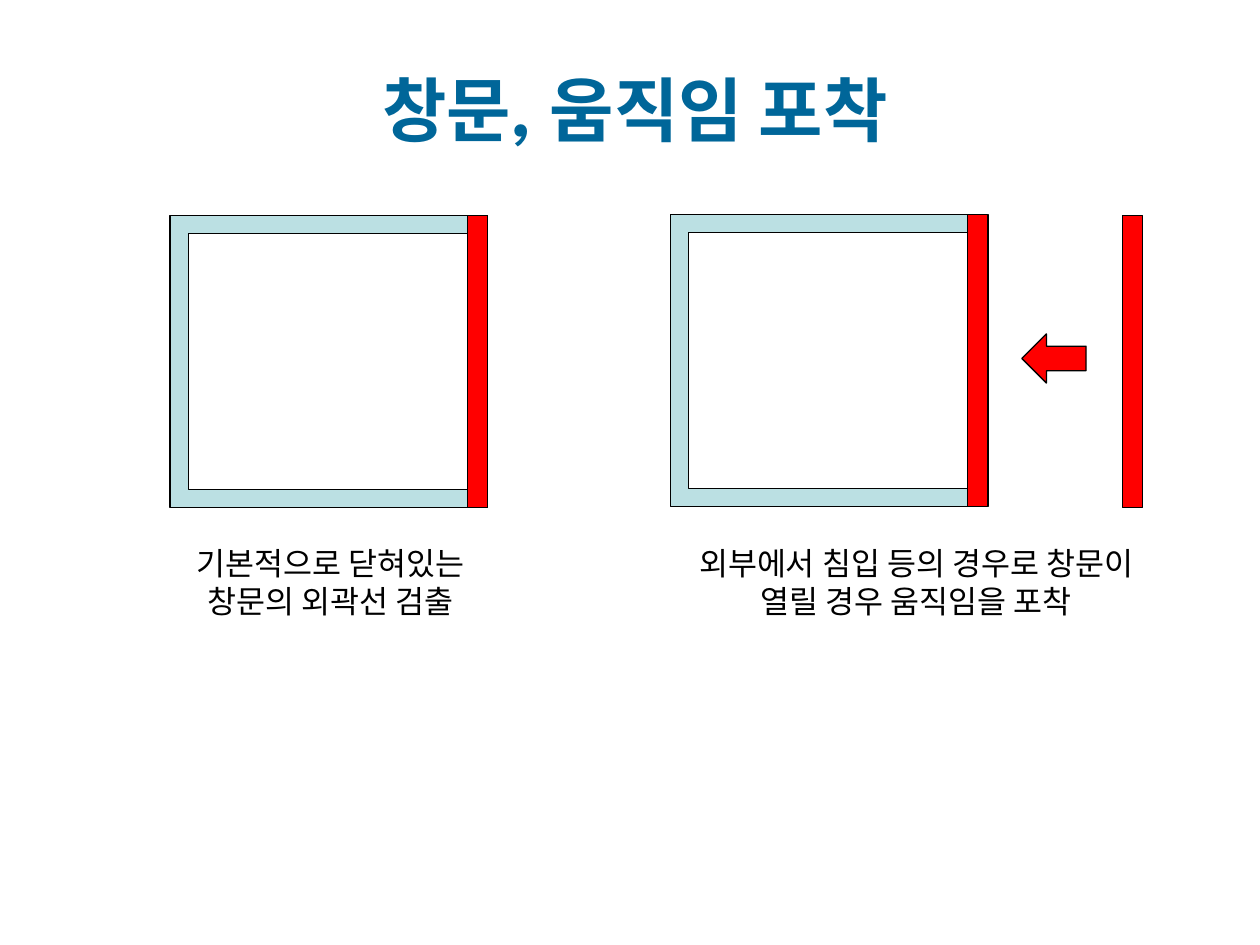
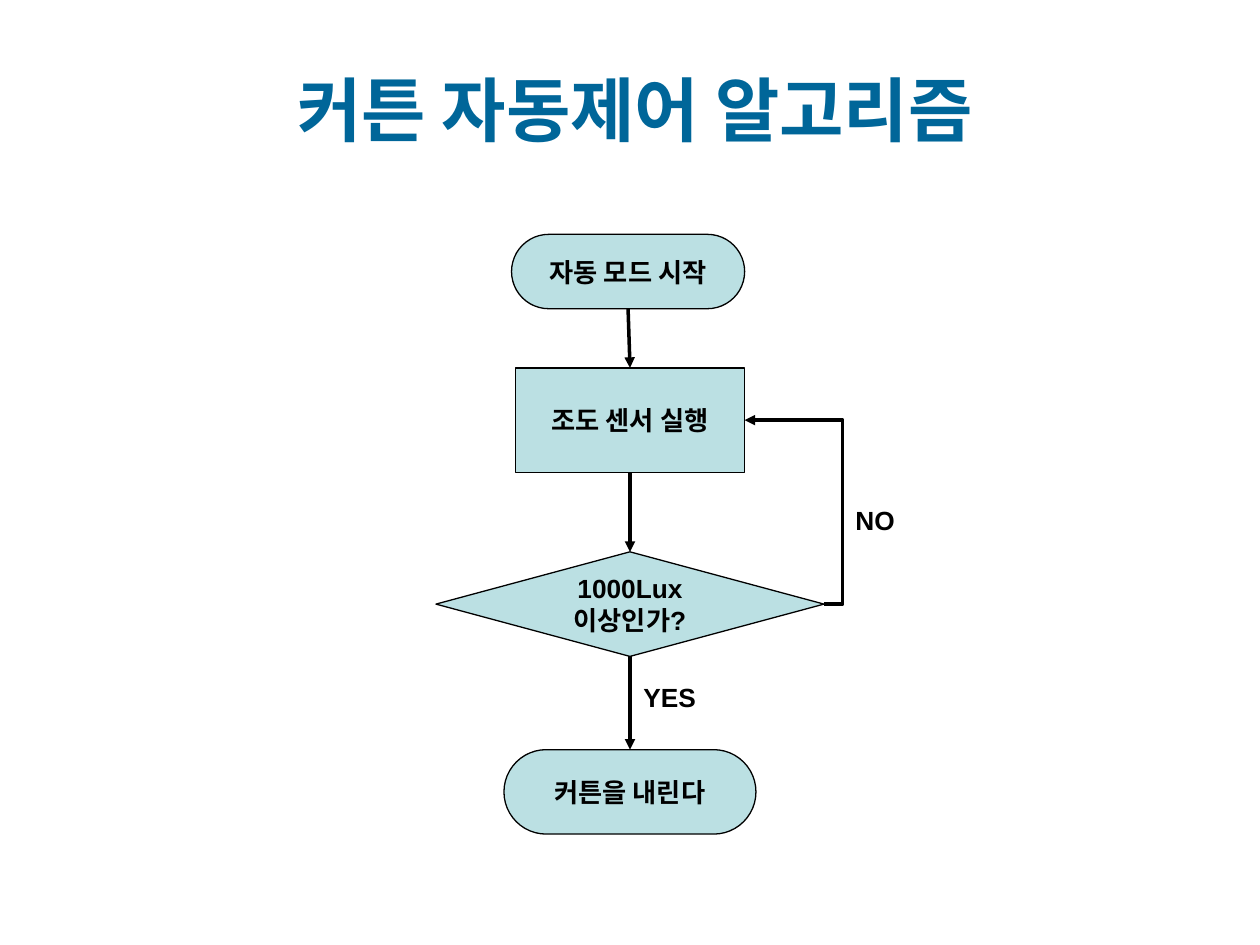
"""Build two slides on window motion capture and automatic curtain control."""
from lxml.etree import SubElement
from pptx import Presentation
from pptx.dml.color import RGBColor
from pptx.enum.shapes import MSO_CONNECTOR as LINK, MSO_SHAPE as SHAPE
from pptx.enum.text import MSO_ANCHOR as ANCHOR, PP_ALIGN as ALIGN
from pptx.oxml.ns import qn
from pptx.util import Pt

PX = 9144
COLORS = {"title": "006699", "pale": "BBE0E3", "red": "FF0000", "ink": "000000"}


def add_block(slide, kind, box, fill, adjustments=()):
    block = slide.shapes.add_shape(kind, *[n * PX for n in box])
    block.shadow.inherit = False
    block.fill.solid()
    block.fill.fore_color.rgb = RGBColor.from_string(COLORS[fill])
    block.line.color.rgb = RGBColor.from_string(COLORS["ink"])
    block.line.width = Pt(0.75)
    for index, value in enumerate(adjustments):
        block.adjustments[index] = value
    return block


def write(holder, text, size, bold=True, font="Arial", color="ink", anchor=ANCHOR.MIDDLE):
    frame = holder.text_frame
    frame.text = text
    frame.word_wrap = True
    frame.vertical_anchor = anchor
    for paragraph in frame.paragraphs:
        paragraph.alignment = ALIGN.CENTER
        for run in paragraph.runs:
            run.font.name = font
            run.font.size = Pt(size)
            run.font.bold = bold
            run.font.color.rgb = RGBColor.from_string(COLORS[color])


deck = Presentation()
deck.slide_width, deck.slide_height = 1000 * PX, 750 * PX
slides = []
for heading in ("창문, 움직임 포착", "커튼 자동제어 알고리즘"):
    slide = deck.slides.add_slide(deck.slide_layouts[6])
    title = slide.shapes.add_textbox(58 * PX, 30 * PX, 892 * PX, 112 * PX)
    write(title, heading, 40, font="League Spartan", color="title")
    slides.append(slide)
window_slide, curtain_slide = slides

for left, top in ((135, 171), (532, 170)):
    add_block(window_slide, SHAPE.FRAME, (left, top, 252, 232), "pale", [0.062])
    add_block(window_slide, SHAPE.RECTANGLE, (left + 236, top, 16, 232), "red")
add_block(window_slide, SHAPE.RECTANGLE, (891, 171, 16, 232), "red")
add_block(window_slide, SHAPE.LEFT_ARROW, (811, 265, 51, 39), "red", [0.5, 0.5])

captions = (
    (122, 280, "기본적으로 닫혀있는\n창문의 외곽선 검출"),
    (520, 414, "외부에서 침입 등의 경우로 창문이 열릴 경우 움직임을 포착"),
)
for left, width, text in captions:
    caption = window_slide.shapes.add_textbox(left * PX, 427 * PX, width * PX, 70 * PX)
    write(caption, text, 18, bold=False, anchor=ANCHOR.TOP)

steps = (
    (SHAPE.ROUNDED_RECTANGLE, (406, 186, 185, 59), [0.5], "자동 모드 시작"),
    (SHAPE.RECTANGLE, (409, 292, 182, 83), [], "조도 센서 실행"),
    (SHAPE.DIAMOND, (346, 438, 308, 83), [], "1000Lux\n이상인가?"),
    (SHAPE.ROUNDED_RECTANGLE, (400, 595, 200, 67), [0.5], "커튼을 내린다"),
)
flow = []
for kind, box, adjustments, text in steps:
    step = add_block(curtain_slide, kind, box, "pale", adjustments)
    write(step, text, 15)
    flow.append(step)
start, sensor, decision, finish = flow

links = (
    (LINK.STRAIGHT, start, 2, sensor, 0),
    (LINK.STRAIGHT, sensor, 2, decision, 0),
    (LINK.STRAIGHT, decision, 2, finish, 0),
    (LINK.ELBOW, decision, 3, sensor, 3),
)
for kind, source, source_side, target, target_side in links:
    arrow = curtain_slide.shapes.add_connector(kind, 0, 0, 0, 0)
    arrow.begin_connect(source, source_side)
    arrow.end_connect(target, target_side)
    arrow.line.color.rgb = RGBColor.from_string(COLORS["ink"])
    arrow.line.width = Pt(2)
    SubElement(arrow.line._get_or_add_ln(), qn("a:tailEnd"), type="triangle")
    SubElement(arrow._element.spPr, qn("a:effectLst"))
    if kind == LINK.ELBOW:
        guides = arrow._element.spPr.find(qn("a:prstGeom")).get_or_add_avLst()
        SubElement(guides, qn("a:gd"), name="adj1", fmla="val -23700")

for left, top, width, answer in ((665, 395, 59, "NO"), (488, 536, 87, "YES")):
    label = curtain_slide.shapes.add_textbox(left * PX, top * PX, width * PX, 43 * PX)
    write(label, answer, 15, anchor=ANCHOR.TOP)

deck.save("out.pptx")
